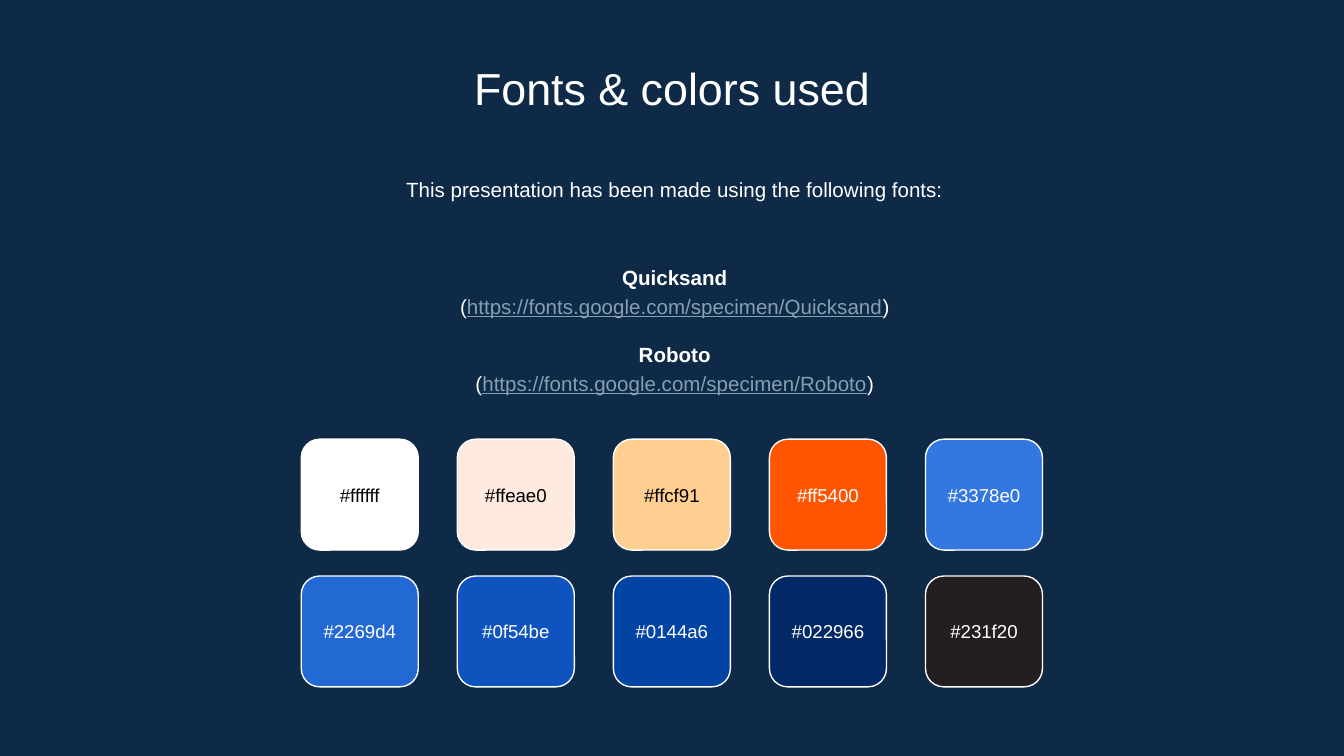
from pptx import Presentation
from pptx.dml.color import RGBColor
from pptx.enum.shapes import MSO_SHAPE as Shape
from pptx.enum.text import MSO_ANCHOR as Anchor, PP_ALIGN as Align
from pptx.util import Pt

COLORS = {"background": "0E2A47", "light": "FFFFFF", "dark": "000000", "link": "869FB2"}


def style(para, size, color, bold=False):
    para.alignment = Align.CENTER
    para.font.name = "Arial"
    para.font.size = Pt(size)
    para.font.bold = bold
    para.font.color.rgb = RGBColor.from_string(color)


def add_text_box(left, top, width, height, anchor=Anchor.TOP):
    box = page.shapes.add_textbox(Pt(left), Pt(top), Pt(width), Pt(height))
    box.text_frame.word_wrap = True
    box.text_frame.vertical_anchor = anchor
    box.text_frame.margin_top = box.text_frame.margin_bottom = Pt(7.2)
    return box.text_frame


deck = Presentation()
deck.slide_width, deck.slide_height = Pt(720), Pt(405)
page = deck.slides.add_slide(deck.slide_layouts[6])
page.background.fill.solid()
page.background.fill.fore_color.rgb = RGBColor.from_string(COLORS["background"])

# Title and introduction
for text, left, top, height, size, spacing in [
    ("Fonts & colors used", 82.5, 25.2, 38.2, 24, 1),
    ("This presentation has been made using the following fonts:", 84, 85.7, 34.5, 11, 1.15),
]:
    para = add_text_box(left, top, 555, height).paragraphs[0]
    para.text = text
    para.line_spacing = spacing
    style(para, size, COLORS["light"])

# Font names with their addresses
fonts = add_text_box(84, 126.7, 555, 98.6, Anchor.MIDDLE)
for index, name in enumerate(["Quicksand", "Roboto"]):
    heading = fonts.add_paragraph() if index else fonts.paragraphs[0]
    heading.text = name
    heading.line_spacing = 1.15
    if index:
        heading.space_before = Pt(11)
    style(heading, 11, COLORS["light"], bold=True)

    address = fonts.add_paragraph()
    address.line_spacing = 1.15
    style(address, 11, COLORS["light"])
    for text in ["(", f"https://fonts.google.com/specimen/{name}", ")"]:
        span = address.add_run()
        span.text = text
        if text.startswith("https"):
            span.font.underline = True
            span.font.color.rgb = RGBColor.from_string(COLORS["link"])

# Colour swatches, five to a row
swatches = ["ffffff", "ffeae0", "ffcf91", "ff5400", "3378e0",
            "2269d4", "0f54be", "0144a6", "022966", "231f20"]
for index, color in enumerate(swatches):
    row, column = divmod(index, 5)
    swatch = page.shapes.add_shape(
        Shape.ROUNDED_RECTANGLE,
        Pt(161.4 + column * 83.6), Pt(235.3 + row * 73.3), Pt(62.7), Pt(59.4))
    swatch.shadow.inherit = False
    swatch.fill.solid()
    swatch.fill.fore_color.rgb = RGBColor.from_string(color.upper())
    swatch.line.color.rgb = RGBColor.from_string(COLORS["light"])
    swatch.line.width = Pt(0.75)
    swatch.text_frame.vertical_anchor = Anchor.MIDDLE
    label = swatch.text_frame.paragraphs[0]
    label.text = f"#{color}"
    style(label, 10, COLORS["dark" if index < 3 else "light"])

deck.save("out.pptx")
